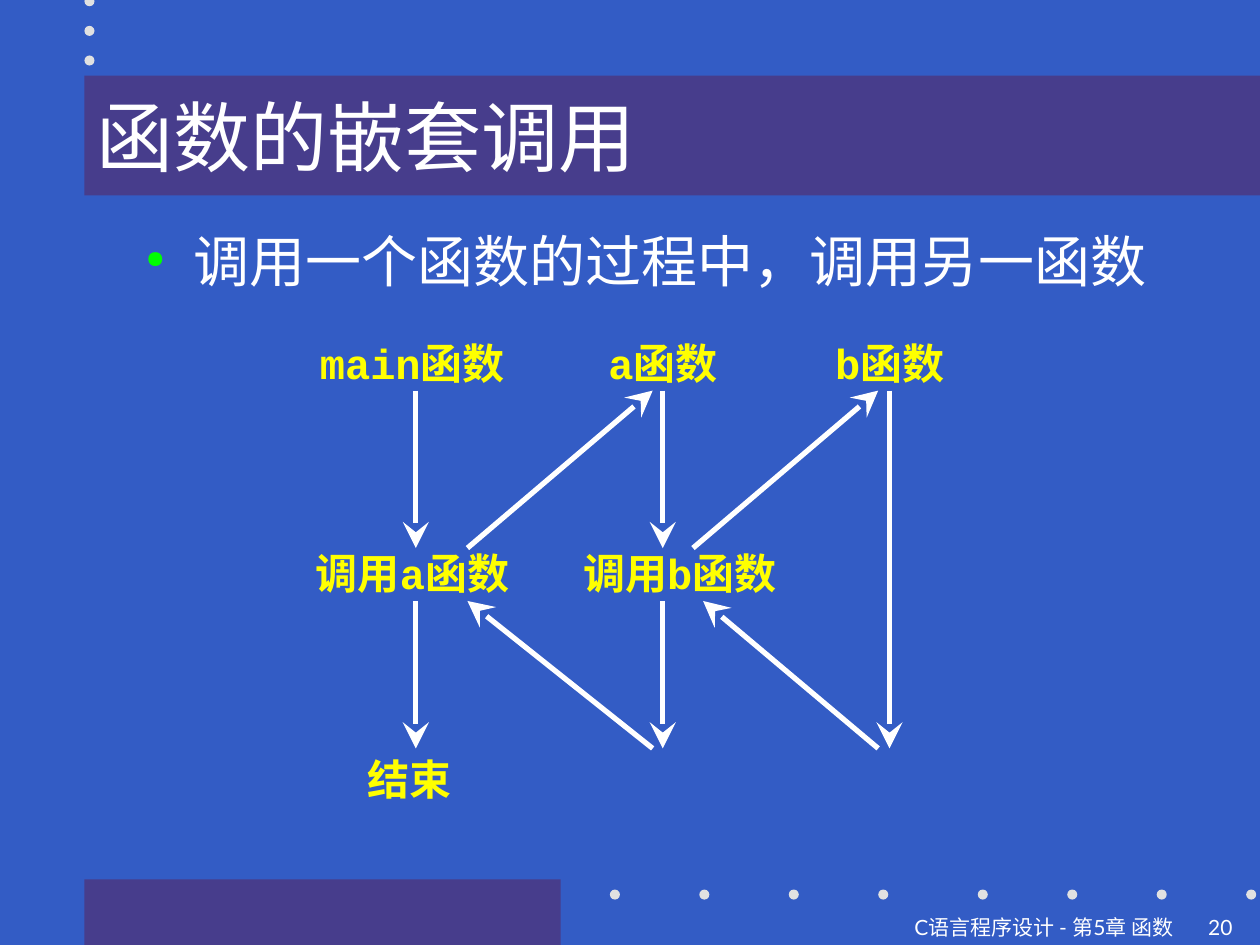
from typing import NamedTuple

from lxml.etree import SubElement
from pptx import Presentation
from pptx.dml.color import RGBColor
from pptx.enum.shapes import MSO_CONNECTOR as Connector, MSO_SHAPE as Shape
from pptx.enum.text import MSO_ANCHOR as Anchor, MSO_AUTO_SIZE as AutoSize, PP_ALIGN as Align
from pptx.oxml.ns import qn
from pptx.util import Inches, Pt

COLORS = {
    "background": "335CC5",
    "band": "473D8C",
    "dot": "E1E1E1",
    "text": "FFFFFF",
    "label": "FFFF00",
    "bullet": "00FF00",
}
DOT_SIZE = 0.08

# Columns of the three functions and the levels where calls begin and end
MAIN_X, A_X, B_X = 3.3, 5.26, 7.06
START_Y, CALL_Y, RETURN_Y, END_Y = 3.1, 4.35, 4.77, 5.94
HEADING_TOP, CALL_TOP, END_TOP = 2.63, 4.3, 5.93


class Label(NamedTuple):
    text: str
    left: float
    top: float
    width: float


class Arrow(NamedTuple):
    x1: float
    y1: float
    x2: float
    y2: float


LABELS = [
    Label("main函数", 2.44, HEADING_TOP, 1.79),
    Label("a函数", 4.73, HEADING_TOP, 1.19),
    Label("b函数", 6.53, HEADING_TOP, 1.19),
    Label("调用a函数", 2.41, CALL_TOP, 1.94),
    Label("调用b函数", 4.53, CALL_TOP, 1.94),
    Label("结束", 2.82, END_TOP, 0.91),
]
ARROWS = [
    Arrow(MAIN_X, START_Y, MAIN_X, CALL_Y),
    Arrow(MAIN_X, RETURN_Y, MAIN_X, END_Y),
    Arrow(A_X, START_Y, A_X, CALL_Y),
    Arrow(A_X, RETURN_Y, A_X, END_Y),
    Arrow(B_X, START_Y, B_X, END_Y),
    Arrow(3.71, CALL_Y, 5.18, START_Y),
    Arrow(5.5, CALL_Y, 6.97, START_Y),
    Arrow(6.97, END_Y, 5.58, RETURN_Y),
    Arrow(5.18, END_Y, 3.71, RETURN_Y),
]


def rgb(color: str) -> RGBColor:
    return RGBColor.from_string(COLORS[color])


def add_filled(slide, kind: Shape, left: float, top: float, width: float, height: float, color: str):
    shape = slide.shapes.add_shape(kind, Inches(left), Inches(top), Inches(width), Inches(height))
    shape.shadow.inherit = False
    shape.fill.solid()
    shape.fill.fore_color.rgb = rgb(color)
    shape.line.fill.background()
    return shape


def add_dot(slide, left: float, top: float) -> None:
    add_filled(slide, Shape.OVAL, left, top, DOT_SIZE, DOT_SIZE, "dot")


def write(shape, text: str, font: str, size: int, color: str = "text", align: Align = Align.LEFT):
    """Put one styled paragraph in the shape and return it."""
    paragraph = shape.text_frame.paragraphs[0]
    paragraph.text = text
    paragraph.alignment = align
    paragraph.font.name = font
    paragraph.font.size = Pt(size)
    paragraph.font.color.rgb = rgb(color)
    return paragraph


def add_text_box(slide, left: float, top: float, width: float, height: float, wrap: bool = True):
    box = slide.shapes.add_textbox(Inches(left), Inches(top), Inches(width), Inches(height))
    box.text_frame.word_wrap = wrap
    return box


def add_bullet(paragraph) -> None:
    properties = paragraph._p.get_or_add_pPr()
    properties.set("marL", str(Inches(0.38)))
    properties.set("indent", str(Inches(-0.38)))
    bullet_color = SubElement(properties, qn("a:buClr"))
    SubElement(bullet_color, qn("a:srgbClr"), val=COLORS["bullet"])
    SubElement(properties, qn("a:buSzPct"), val="43000")
    SubElement(properties, qn("a:buChar"), char="●")


def add_label(slide, label: Label) -> None:
    box = add_text_box(slide, label.left, label.top, label.width, 0.5, wrap=False)
    box.text_frame.auto_size = AutoSize.SHAPE_TO_FIT_TEXT
    write(box, label.text, "Courier New", 24, "label").font.bold = True


def add_arrow(slide, arrow: Arrow) -> None:
    connector = slide.shapes.add_connector(Connector.STRAIGHT, *map(Inches, arrow))
    connector.line.color.rgb = rgb("text")
    connector.line.width = Pt(3)
    SubElement(connector.line._get_or_add_ln(), qn("a:tailEnd"), type="stealth", w="lg", len="lg")
    SubElement(connector._element.spPr, qn("a:effectLst"))


def add_decoration(slide) -> None:
    add_filled(slide, Shape.RECTANGLE, 0.67, 6.98, 3.78, 0.52, "band")
    for row in range(3):
        add_dot(slide, 0.67, -0.03 + 0.235 * row)
    for group_left in (4.84, 7.76):
        for column in range(4):
            add_dot(slide, group_left + 0.71 * column, 7.06)


def main() -> None:
    presentation = Presentation()
    presentation.slide_width, presentation.slide_height = Inches(10), Inches(7.5)
    slide = presentation.slides.add_slide(presentation.slide_layouts[6])
    slide.background.fill.solid()
    slide.background.fill.fore_color.rgb = rgb("background")
    add_decoration(slide)

    title = add_filled(slide, Shape.RECTANGLE, 0.67, 0.6, 9.33, 0.95, "band")
    title.text_frame.vertical_anchor = Anchor.MIDDLE
    write(title, "函数的嵌套调用", "Times New Roman", 44)

    body = add_text_box(slide, 1.06, 1.75, 8.44, 5.23)
    add_bullet(body.text_frame.paragraphs[0])
    write(body, "调用一个函数的过程中，调用另一函数", "Times New Roman", 32)

    for arrow in ARROWS:
        add_arrow(slide, arrow)
    for label in LABELS:
        add_label(slide, label)

    footer = add_text_box(slide, 0, 7.21, 9.41, 0.28)
    write(footer, "C语言程序设计 - 第5章 函数", "Lato", 12, align=Align.RIGHT)
    page_number = add_text_box(slide, 9.49, 7.21, 0.51, 0.28)
    write(page_number, "20", "Lato", 12)

    presentation.save("out.pptx")


if __name__ == "__main__":
    main()
